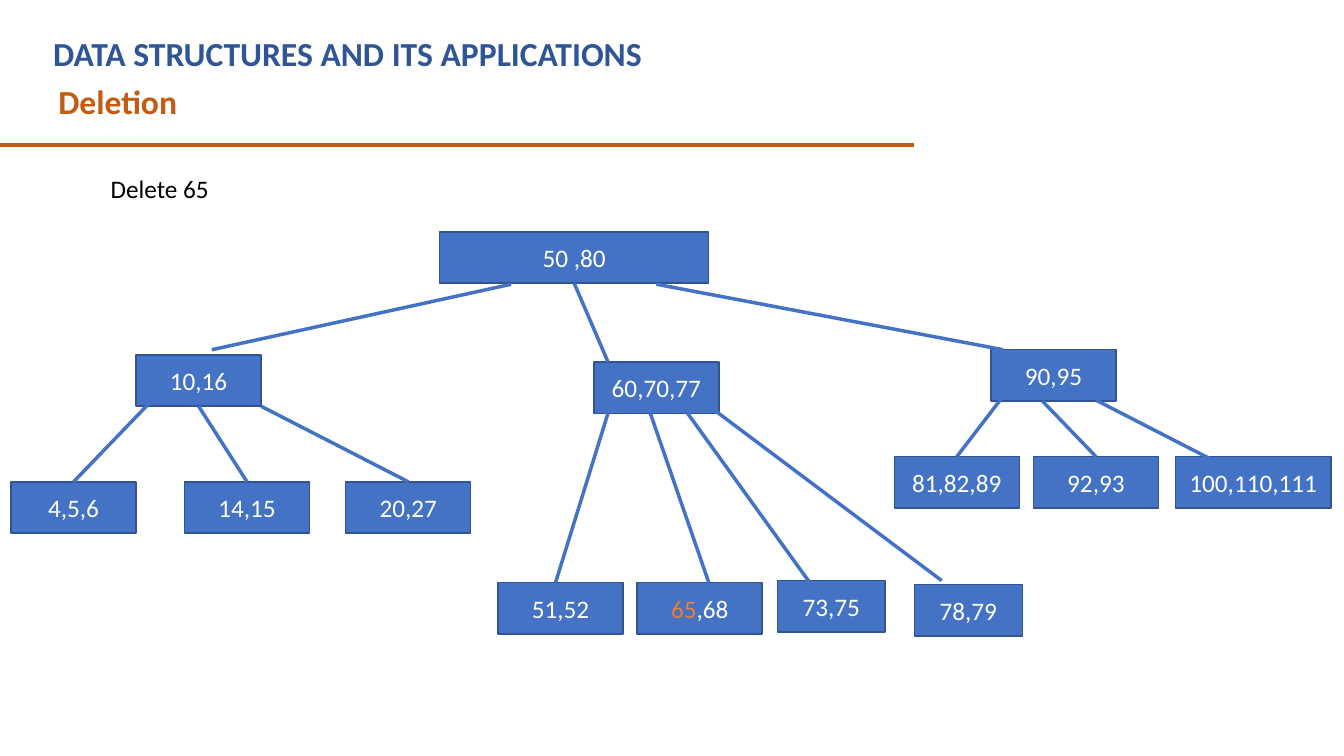
"""Build a slide showing the deletion of key 65 from a multiway search tree."""
import pptx
import pptx.util
import pptx.dml.color
import pptx.enum.shapes
import pptx.enum.text
import pptx.oxml.ns
import lxml.etree

PX = 9144
THEME = {
    "font": "Calibri",
    "heading_size": 24,
    "body_size": 18,
    "course": "2F5597",
    "topic": "C55A11",
    "node": "4472C4",
    "outline": "325491",
    "highlight": "ED7D31",
    "light": "FFFFFF",
    "dark": "000000",
}
NODE_HEIGHT = 51
STRAIGHT = pptx.enum.shapes.MSO_CONNECTOR.STRAIGHT
RECTANGLE = pptx.enum.shapes.MSO_SHAPE.RECTANGLE


def write(frame, pieces, size, bold=False):
    for text, color in pieces:
        run = frame.paragraphs[0].add_run()
        run.text = text
        formats = {"name": THEME["font"], "size": pptx.util.Pt(THEME[size]), "bold": bold}
        for attribute, value in formats.items():
            setattr(run.font, attribute, value)
        run.font.color.rgb = pptx.dml.color.RGBColor.from_string(THEME[color])


def draw_line(start, end, color, width):
    line = slide.shapes.add_connector(STRAIGHT, *[value * PX for value in (*start, *end)])
    line.line.color.rgb = pptx.dml.color.RGBColor.from_string(THEME[color])
    line.line.width = pptx.util.Pt(width)
    lxml.etree.SubElement(line._element.spPr, pptx.oxml.ns.qn("a:effectLst"))
    return line


deck = pptx.Presentation()
deck.slide_width = 1333 * PX
deck.slide_height = 750 * PX
slide = deck.slides.add_slide(deck.slide_layouts[6])

draw_line((-1, 144), (907, 144), "topic", 3)

headings = [
    ("DATA STRUCTURES AND ITS APPLICATIONS", "course", 43, 28),
    ("Deletion", "topic", 48, 75),
]
for text, color, left, top in headings:
    heading = slide.shapes.add_textbox(left * PX, top * PX, 820 * PX, 51 * PX)
    heading.text_frame.word_wrap = True
    write(heading.text_frame, [(text, color)], "heading_size", bold=True)

boxes = [
    ("task", [("Delete 65", "dark")], 10, 158, 297, 58),
    ("root", [("50 ,80", "light")], 436, 230, 267, NODE_HEIGHT),
    ("low", [("10,16", "light")], 135, 352, 124, NODE_HEIGHT),
    ("middle", [("60,70,77", "light")], 589, 359, 124, NODE_HEIGHT),
    ("high", [("90,95", "light")], 983, 347, 124, NODE_HEIGHT),
    ("4-6", [("4,5,6", "light")], 11, 478, 124, NODE_HEIGHT),
    ("14-15", [("14,15", "light")], 183, 478, 124, NODE_HEIGHT),
    ("20-27", [("20,27", "light")], 343, 478, 124, NODE_HEIGHT),
    ("51-52", [("51,52", "light")], 494, 578, 124, NODE_HEIGHT),
    ("65-68", [("65", "highlight"), (",68", "light")], 632, 578, 124, NODE_HEIGHT),
    ("73-75", [("73,75", "light")], 771, 576, 107, NODE_HEIGHT),
    ("78-79", [("78,79", "light")], 907, 580, 107, NODE_HEIGHT),
    ("81-89", [("81,82,89", "light")], 887, 453, 124, NODE_HEIGHT),
    ("92-93", [("92,93", "light")], 1025, 453, 124, NODE_HEIGHT),
    ("100-111", [("100,110,111", "light")], 1166, 453, 154, NODE_HEIGHT),
]
nodes = {}
for key, pieces, left, top, width, height in boxes:
    node = slide.shapes.add_shape(RECTANGLE, left * PX, top * PX, width * PX, height * PX)
    fill, outline = ("light", "light") if key == "task" else ("node", "outline")
    node.shadow.inherit = False
    node.fill.solid()
    node.fill.fore_color.rgb = pptx.dml.color.RGBColor.from_string(THEME[fill])
    node.line.color.rgb = pptx.dml.color.RGBColor.from_string(THEME[outline])
    node.line.width = pptx.util.Pt(1)
    node.text_frame.vertical_anchor = pptx.enum.text.MSO_ANCHOR.MIDDLE
    node.text_frame.paragraphs[0].alignment = pptx.enum.text.PP_ALIGN.CENTER
    write(node.text_frame, pieces, "body_size")
    nodes[key] = node

branches = [
    ((507, 282), (210, 347), None, None),
    ((569, 282), (603, 359), "root", None),
    ((651, 282), (995, 347), None, None),
    ((149, 399), (73, 476), None, "4-6"),
    ((197, 403), (245, 476), "low", "14-15"),
    ((259, 403), (405, 478), None, "20-27"),
    ((603, 410), (551, 578), None, None),
    ((645, 410), (703, 578), None, None),
    ((682, 410), (814, 593), None, None),
    ((690, 393), (934, 576), None, None),
    ((995, 393), (949, 453), None, "81-89"),
    ((1034, 398), (1087, 453), None, "92-93"),
    ((1087, 397), (1233, 472), None, None),
]
for start, end, parent, child in branches:
    branch = draw_line(start, end, "node", 2.5)
    if parent:
        branch.begin_connect(nodes[parent], 2)
    if child:
        branch.end_connect(nodes[child], 0)

deck.save("out.pptx")
